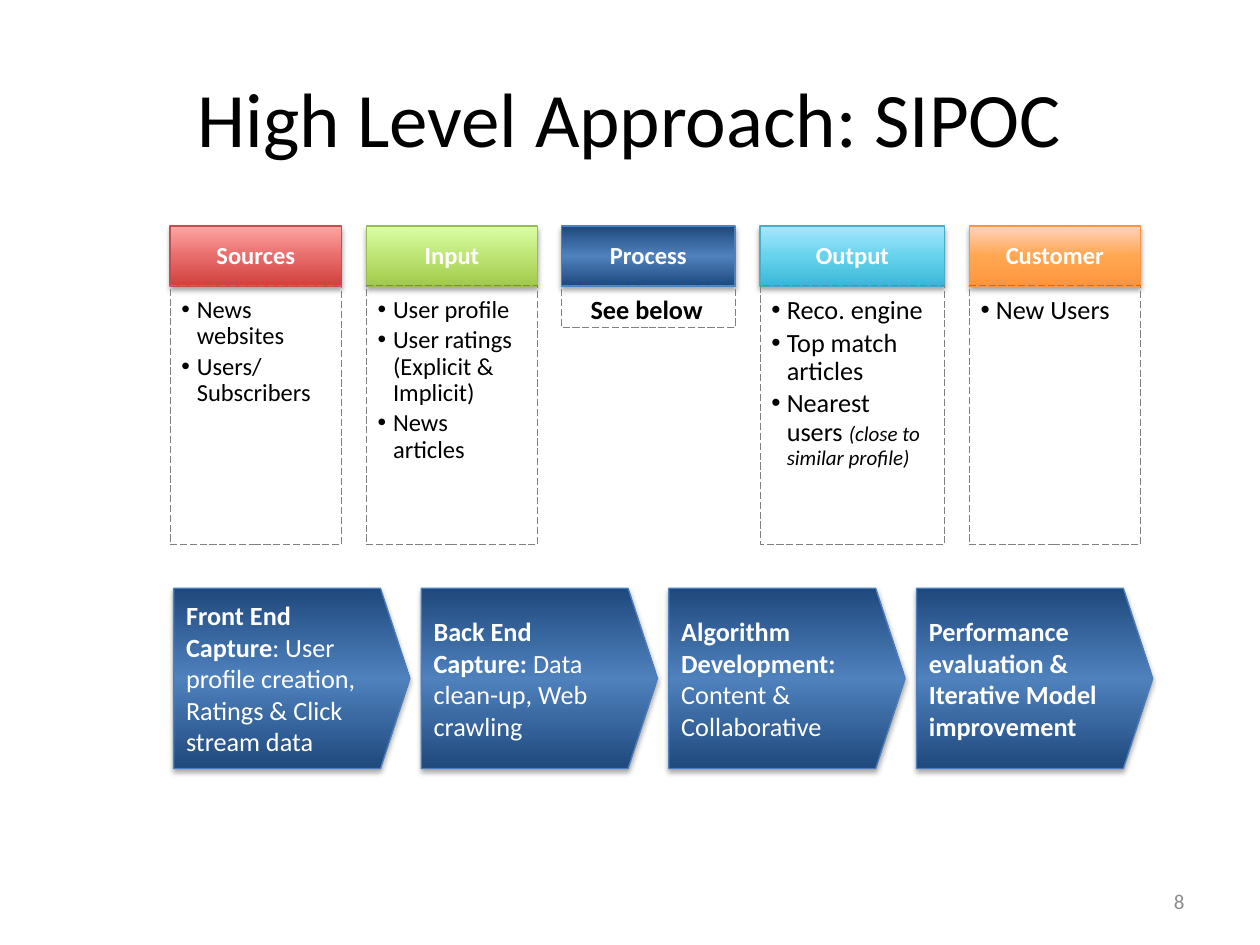
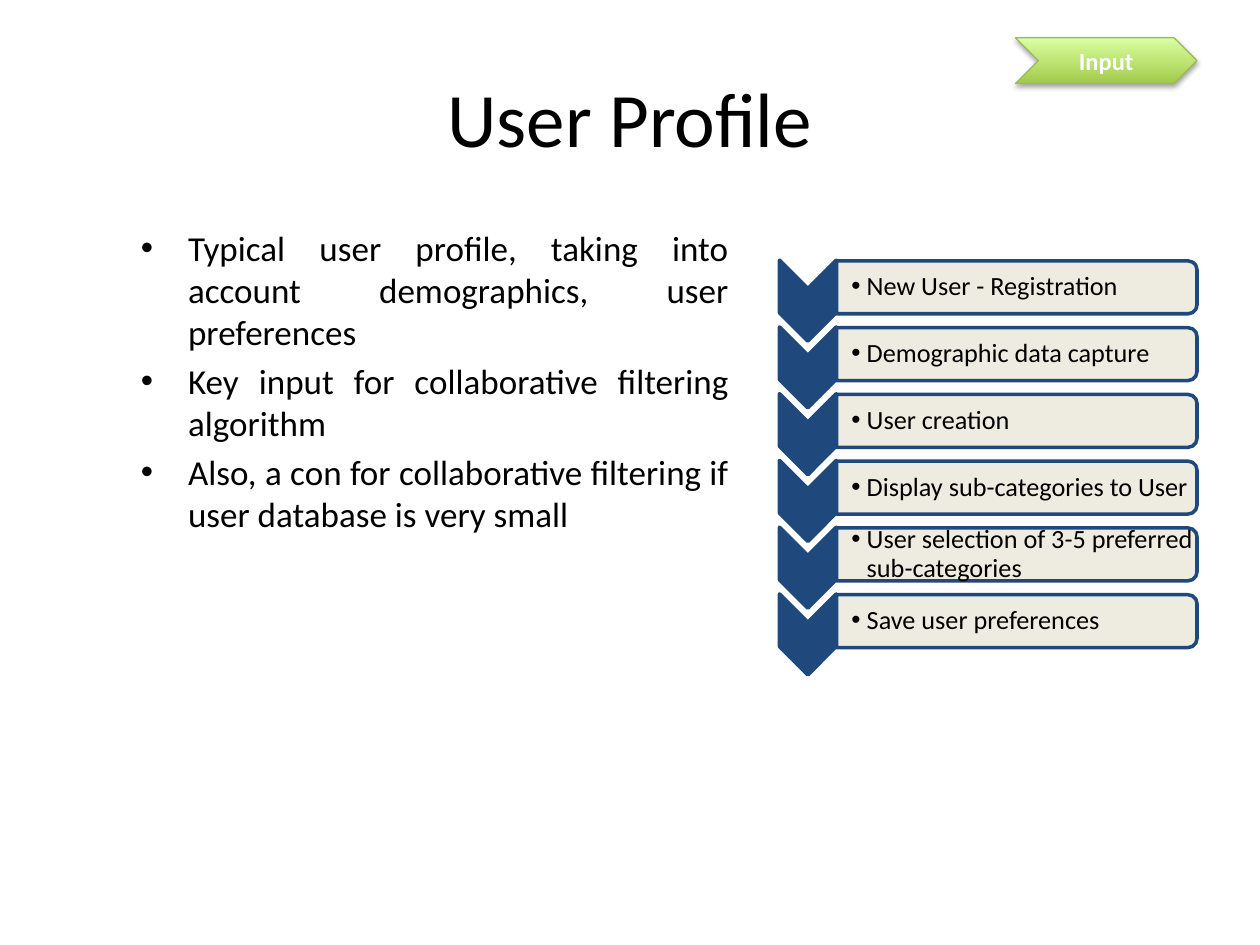
from lxml.etree import SubElement
from pptx import Presentation
from pptx.dml.color import RGBColor
from pptx.enum.dml import MSO_LINE_DASH_STYLE as Dash
from pptx.enum.shapes import MSO_AUTO_SHAPE_TYPE as Shape
from pptx.enum.text import MSO_ANCHOR as Anchor, PP_ALIGN as Align
from pptx.oxml.ns import qn
from pptx.util import Pt

FONT = "Calibri"
BLACK, WHITE, GREY, NUMBER_GREY = "000000", "FFFFFF", "808080", "8C8C8C"
NAVY, CREAM, STEP_EDGE = "1F497D", "EEECE1", "4B7EBC"
RED = ("D1403C", "E86D6B", "FFA6A5")
GREEN = ("A0CA4A", "BEE575", "DAFFA5")
BLUE = (NAVY, "4F81BD", NAVY)
CYAN = ("39B7D8", "67D3EC", "A7E6FF")
ORANGE = ("FF953E", "FFA651", "FFD2BD")
GREEN_EDGE = "9BBB59"
HEADER_INSETS = (8, 4.3, 8, 4.3)

COLUMNS = [
    ("Sources", 97.2, 98, RED, "C0504D", 14, ["News websites", "Users/ Subscribers"]),
    ("Input", 209.3, 98, GREEN, GREEN_EDGE, 14,
     ["User profile", "User ratings (Explicit & Implicit)", "News articles"]),
    ("Process", 321, 99, BLUE, "4F81BD", 15, []),
    ("Output", 434.3, 105.6, CYAN, "4BACC6", 15,
     ["Reco. engine", "Top match articles",
      [("Nearest users ", {}), ("(close to similar profile)", {"size": Pt(12), "italic": True})]]),
    ("Customer", 553.8, 98, ORANGE, "F79646", 15, ["New Users"]),
]
STEPS = [
    ("Front End Capture", ": User profile creation, Ratings & Click stream data"),
    ("Back End Capture: ", "Data clean-up, Web crawling"),
    ("Algorithm Development: ", "Content & Collaborative"),
    ("Performance evaluation & Iterative Model improvement", ""),
]
PROFILE_POINTS = [
    "Typical user profile, taking into account demographics, user preferences",
    "Key input for collaborative filtering algorithm",
    "Also, a con for collaborative filtering if user database is very small",
]
REGISTRATION = [
    "New User - Registration", "Demographic data capture", "User creation",
    "Display sub-categories to User", "User selection of 3-5 preferred sub-categories",
    "Save user preferences",
]


def rgb(code):
    """Turn a hex string into a colour."""
    return RGBColor.from_string(code)


def add_bullet(paragraph, indent):
    """Give a paragraph a round bullet and a hanging indent."""
    props = paragraph._p.get_or_add_pPr()
    props.set("marL", str(Pt(indent)))
    props.set("indent", str(-Pt(indent)))
    SubElement(props, qn("a:buFont"), typeface="Arial")
    SubElement(props, qn("a:buChar"), char="•")


def write(frame, paragraphs, size, color=BLACK, bold=None, align=Align.LEFT, anchor=Anchor.TOP,
          insets=(7.2, 3.6, 7.2, 3.6), spacing=None, before=0, after=0, indent=0):
    """Fill a text frame; a paragraph is a string or a list of (text, font settings)."""
    frame.word_wrap = True
    frame.vertical_anchor = anchor
    frame.margin_left, frame.margin_top, frame.margin_right, frame.margin_bottom = map(Pt, insets)
    for index, content in enumerate(paragraphs):
        paragraph = frame.add_paragraph() if index else frame.paragraphs[0]
        paragraph.alignment = align
        paragraph.line_spacing = spacing
        paragraph.space_before, paragraph.space_after = Pt(before), Pt(after)
        font = paragraph.font
        font.name, font.size, font.bold = FONT, Pt(size), bold
        font.color.rgb = rgb(color)
        for text, settings in [(content, {})] if isinstance(content, str) else content:
            run = paragraph.add_run()
            run.text = text
            for key, value in settings.items():
                setattr(run.font, key, value)
        if indent:
            add_bullet(paragraph, indent)


def add_text(slide, box, paragraphs, size, **style):
    """Add a text box."""
    write(slide.shapes.add_textbox(*map(Pt, box)).text_frame, paragraphs, size, **style)


def add_shape(slide, kind, box, edge, width, fill=None):
    """Add a flat preset shape."""
    shape = slide.shapes.add_shape(kind, *map(Pt, box))
    if fill:
        shape.fill.solid()
        shape.fill.fore_color.rgb = rgb(fill)
    else:
        shape.fill.background()
    shape.line.color.rgb = rgb(edge)
    shape.line.width = Pt(width)
    shape.shadow.inherit = False
    return shape


def add_glossy(slide, kind, box, shades, edge):
    """Add a shape with a three-colour rising gradient and a soft shadow."""
    shape = add_shape(slide, kind, box, edge, 0.75)
    shape.fill.gradient()
    shape.fill.gradient_angle = 90
    props = shape._element.spPr
    stops = props.find(".//" + qn("a:gsLst"))
    for stop in list(stops):
        stops.remove(stop)
    for position, shade in zip((0, 50000, 100000), shades):
        stop = SubElement(stops, qn("a:gs"), pos=str(position))
        SubElement(stop, qn("a:srgbClr"), val=shade)
    shadow = SubElement(props.find(qn("a:effectLst")), qn("a:outerShdw"), blurRad=str(Pt(3.1)),
                        dist=str(Pt(1.8)), dir="5400000", rotWithShape="0")
    tint = SubElement(shadow, qn("a:srgbClr"), val=BLACK)
    SubElement(tint, qn("a:alpha"), val="35000")
    return shape


def add_turned(slide, kind, center, size, fill):
    """Add a navy-edged shape turned a quarter, placed by its centre."""
    (x, y), (width, height) = center, size
    shape = add_shape(slide, kind, (x - width / 2, y - height / 2, width, height), NAVY, 2, fill)
    shape.rotation = 90
    return shape


def add_titled_slide(deck, title):
    """Add a blank slide with the shared title style."""
    slide = deck.slides.add_slide(deck.slide_layouts[6])
    add_text(slide, (36, 21.6, 648, 90), [title], 44, align=Align.CENTER, anchor=Anchor.MIDDLE)
    return slide


def add_column(slide, name, left, width, shades, edge, size, items):
    """Add a SIPOC heading with its dashed box of items."""
    header = add_glossy(slide, Shape.RECTANGLE, (left, 129.2, width, 34.2), shades, edge)
    write(header.text_frame, [name], 14, WHITE, bold=True, align=Align.CENTER,
          anchor=Anchor.MIDDLE, insets=HEADER_INSETS, spacing=0.9)
    height = 147.6 if items else 23.8
    box = add_shape(slide, Shape.RECTANGLE, (left, 163.4, width, height), GREY, 0.5)
    box.line.dash_style = Dash.LONG_DASH
    style = {"insets": (6.5, 6.5, 8.5, 9), "spacing": 0.9, "after": 0.15 * size}
    if items:
        write(box.text_frame, items, size, indent=8.8, **style)
    else:
        write(box.text_frame, ["See below"], size, bold=True, align=Align.CENTER, **style)


def add_step(slide, index, heading, detail):
    """Add one process arrow in the row."""
    arrow = add_glossy(slide, Shape.PENTAGON, (99.2 + 141.5 * index, 336.2, 135, 103),
                       BLUE, STEP_EDGE)
    arrow.adjustments[0] = 0.163
    parts = [(heading, {"bold": True})] + ([(detail, {})] if detail else [])
    write(arrow.text_frame, [parts], 15, WHITE, anchor=Anchor.MIDDLE)


def add_registration_row(slide, index, label):
    """Add one down-pointing chevron with its labelled bar."""
    middle = 164.2 + 38.15 * index
    add_turned(slide, Shape.CHEVRON, (461.6, middle + 7.6), (46.3, 32.4), NAVY)
    add_turned(slide, Shape.ROUND_2_SAME_RECTANGLE, (581, middle), (30.2, 206), CREAM)
    add_text(slide, (478, middle - 13.7, 205, 27.4), [label], 15, anchor=Anchor.MIDDLE,
             insets=(8.5, 0.7, 0.7, 0.7), spacing=0.9, after=2.25, indent=8.8)


def build_sipoc(deck):
    """Build the SIPOC overview slide."""
    slide = add_titled_slide(deck, "High Level Approach: SIPOC")
    for column in COLUMNS:
        add_column(slide, *column)
    for index, step in enumerate(STEPS):
        add_step(slide, index, *step)
    add_text(slide, (516, 500.5, 168, 28.8), ["8"], 12, color=NUMBER_GREY,
             align=Align.RIGHT, anchor=Anchor.MIDDLE)


def build_profile(deck):
    """Build the user profile slide."""
    slide = add_titled_slide(deck, "User Profile")
    add_text(slide, (73.4, 126, 350, 356.4), PROFILE_POINTS, 20, align=Align.JUSTIFY,
             before=4, indent=27)
    tag = add_glossy(slide, Shape.CHEVRON, (580.3, 21.6, 103.7, 26.2), GREEN, GREEN_EDGE)
    write(tag.text_frame, ["Input"], 14, WHITE, bold=True, align=Align.CENTER,
          anchor=Anchor.MIDDLE, insets=HEADER_INSETS)
    for index, label in enumerate(REGISTRATION):
        add_registration_row(slide, index, label)


def main():
    """Build and save the deck."""
    deck = Presentation()
    deck.slide_width, deck.slide_height = Pt(720), Pt(540)
    build_sipoc(deck)
    build_profile(deck)
    deck.save("out.pptx")


if __name__ == "__main__":
    main()
